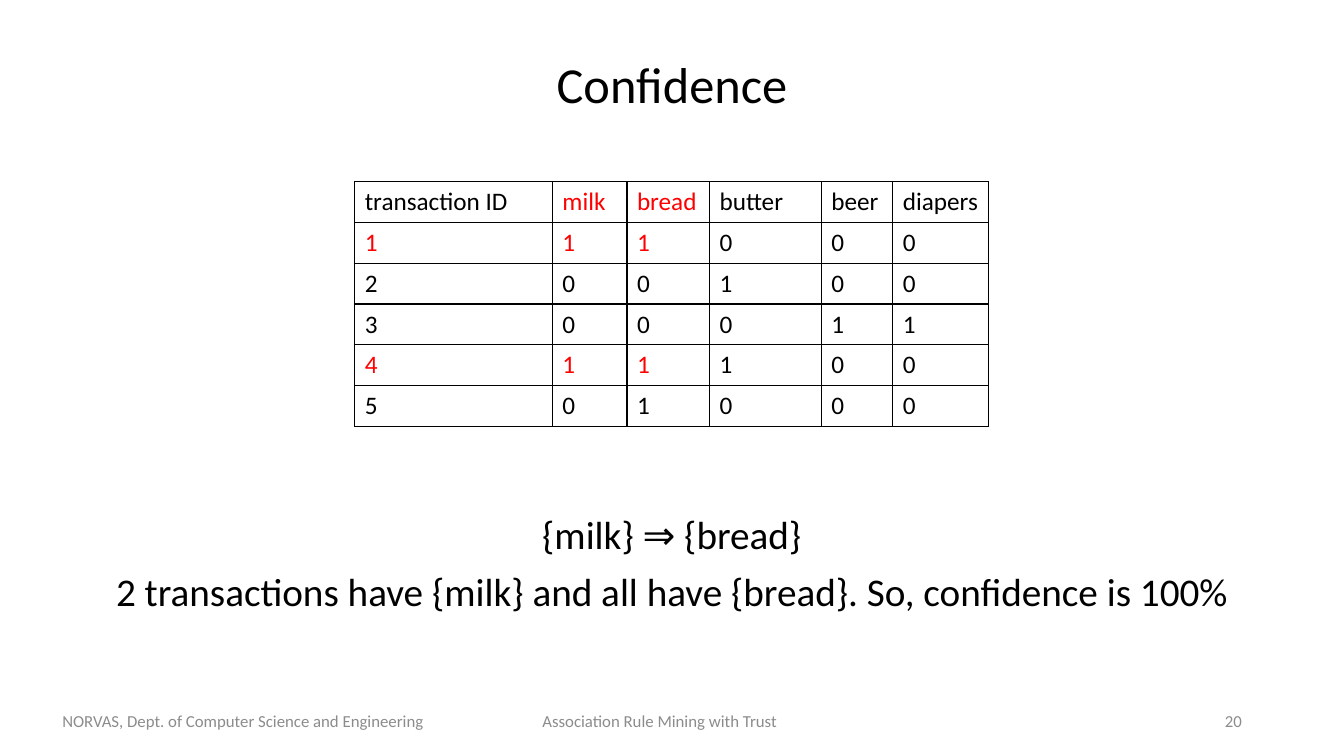
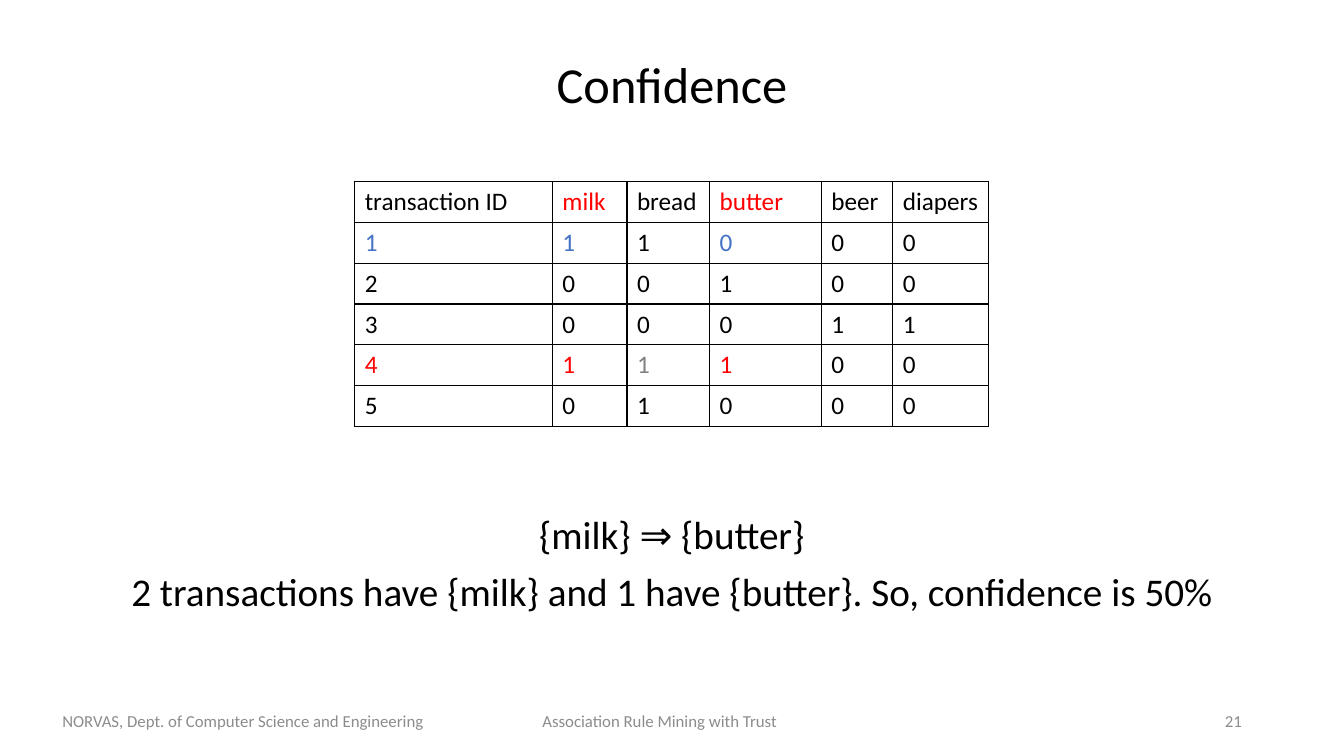
from lxml import etree
from pptx import Presentation
from pptx import util as u
from pptx.dml.color import RGBColor
from pptx.enum import text as t
from pptx.oxml import ns

BLACK = RGBColor(0x00, 0x00, 0x00)
RED = RGBColor(0xFF, 0x00, 0x00)
BLUE = RGBColor(0x44, 0x72, 0xC4)
GRAY = RGBColor(0x80, 0x80, 0x80)
FOOTER_GRAY = RGBColor(0x8C, 0x8C, 0x8C)
FONT = "Calibri"

DEPARTMENT = "NORVAS, Dept. of Computer Science and Engineering"
TOPIC = "Association Rule Mining with Trust"

COLUMN_WIDTHS = (4.98, 1.88, 2.08, 2.82, 1.8, 2.41)
ROW_HEIGHT = 1.03
TRANSACTIONS = (
    ("transaction ID", "milk", "bread", "butter", "beer", "diapers"),
    ("1", "1", "1", "0", "0", "0"),
    ("2", "0", "0", "1", "0", "0"),
    ("3", "0", "0", "0", "1", "1"),
    ("4", "1", "1", "1", "0", "0"),
    ("5", "0", "1", "0", "0", "0"),
)

BREAD_MARKS = {
    RED: {(0, 1), (0, 2), (1, 0), (1, 1), (1, 2), (4, 0), (4, 1), (4, 2)},
}
BUTTER_MARKS = {
    RED: {(0, 1), (0, 3), (4, 0), (4, 1), (4, 3)},
    BLUE: {(1, 0), (1, 1), (1, 3)},
    GRAY: {(4, 2)},
}


def add_span(para, words, size, color):
    span = para.add_run()
    span.text = words
    span.font.name = FONT
    span.font.size = u.Pt(size)
    span.font.color.rgb = color


def add_text(page, place, lines, size, color=BLACK, align=t.PP_ALIGN.LEFT,
             anchor=t.MSO_ANCHOR.MIDDLE, spacing=1.0, before=0):
    box = page.shapes.add_textbox(*(u.Cm(length) for length in place))
    frame = box.text_frame
    frame.word_wrap = True
    frame.vertical_anchor = anchor
    for index, line in enumerate(lines):
        para = frame.add_paragraph() if index else frame.paragraphs[0]
        para.alignment = align
        para.line_spacing = spacing
        para.space_before = u.Pt(before)
        add_span(para, line, size, color)


def add_title(page, words):
    add_text(page, (0, 0.69, 33.87, 3), [words], 36,
             align=t.PP_ALIGN.CENTER, spacing=0.9)


def add_footer(page, number):
    add_text(page, (1.32, 17.65, 11.5, 1.02), [DEPARTMENT], 12, FOOTER_GRAY)
    add_text(page, (13.42, 17.65, 9, 1.02), [TOPIC], 12, FOOTER_GRAY)
    add_text(page, (23.93, 17.65, 7.62, 1.02), [str(number)], 12, FOOTER_GRAY,
             align=t.PP_ALIGN.RIGHT)


def add_borders(cell):
    properties = cell._tc.get_or_add_tcPr()
    for side in ("a:lnL", "a:lnR", "a:lnT", "a:lnB"):
        line = etree.SubElement(properties, ns.qn(side), w=str(u.Pt(1)))
        fill = etree.SubElement(line, ns.qn("a:solidFill"))
        etree.SubElement(fill, ns.qn("a:srgbClr"), val=str(BLACK))


def add_transactions(page, marks):
    row_count = len(TRANSACTIONS)
    table = page.shapes.add_table(
        row_count, len(COLUMN_WIDTHS), u.Cm(8.94), u.Cm(4.57),
        u.Cm(sum(COLUMN_WIDTHS)), u.Cm(ROW_HEIGHT * row_count)).table
    table.first_row = False
    table.horz_banding = False
    for column, width in zip(table.columns, COLUMN_WIDTHS):
        column.width = u.Cm(width)
    colors = {spot: color for color, spots in marks.items() for spot in spots}
    for r, values in enumerate(TRANSACTIONS):
        table.rows[r].height = u.Cm(ROW_HEIGHT)
        for c, value in enumerate(values):
            cell = table.cell(r, c)
            add_borders(cell)
            cell.fill.background()
            cell.vertical_anchor = t.MSO_ANCHOR.MIDDLE
            add_span(cell.text_frame.paragraphs[0], value, 18,
                     colors.get((r, c), BLACK))


def add_conclusion(page, lines):
    add_text(page, (0.58, 12.88, 32.7, 2.8), lines, 28,
             align=t.PP_ALIGN.CENTER, anchor=t.MSO_ANCHOR.TOP,
             spacing=0.9, before=10)


def add_confidence_page(deck, number, marks, conclusion):
    page = deck.slides.add_slide(deck.slide_layouts[6])
    add_title(page, "Confidence")
    add_transactions(page, marks)
    add_conclusion(page, conclusion)
    add_footer(page, number)


def main():
    deck = Presentation()
    deck.slide_width = u.Cm(33.87)
    deck.slide_height = u.Cm(19.05)
    add_confidence_page(deck, 20, BREAD_MARKS, (
        "{milk} ⇒ {bread}",
        "2 transactions have {milk} and all have {bread}. So, confidence is 100%",
    ))
    add_confidence_page(deck, 21, BUTTER_MARKS, (
        "{milk} ⇒ {butter}",
        "2 transactions have {milk} and 1 have {butter}. So, confidence is 50%",
    ))
    deck.save("out.pptx")


if __name__ == "__main__":
    main()
